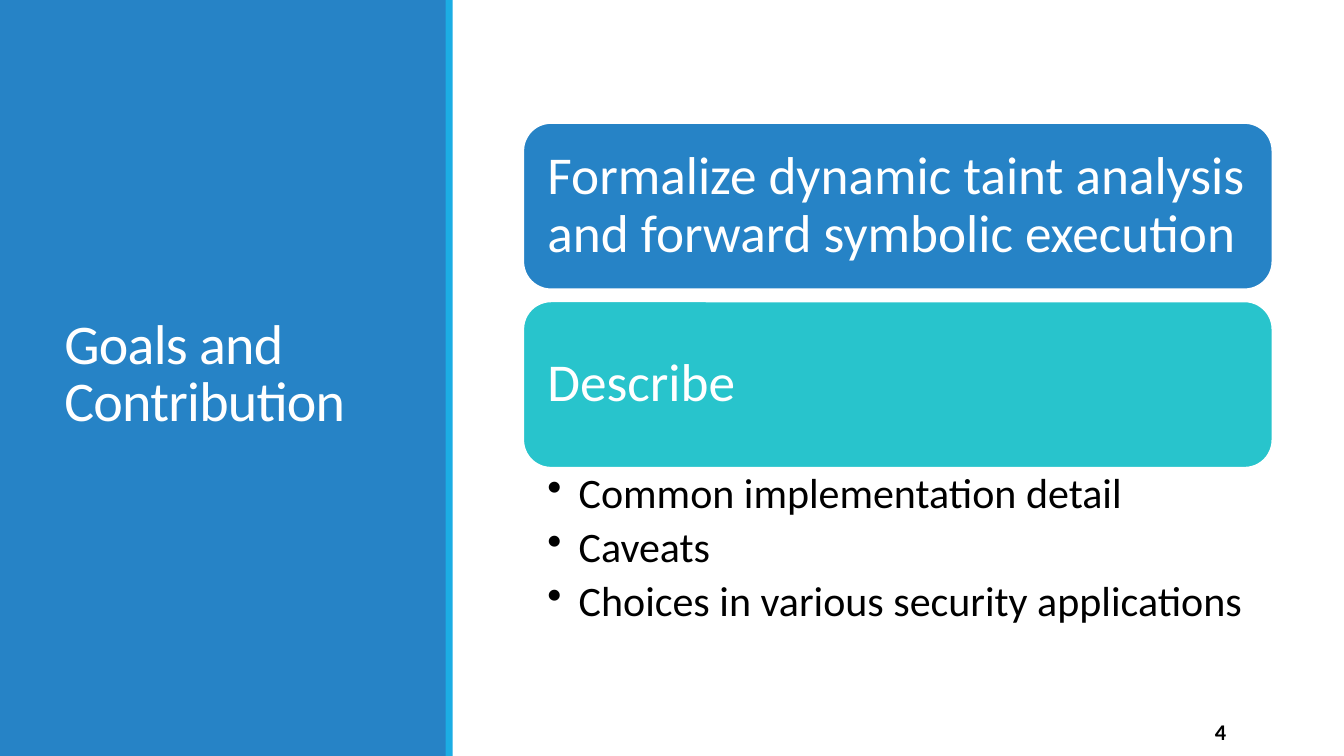
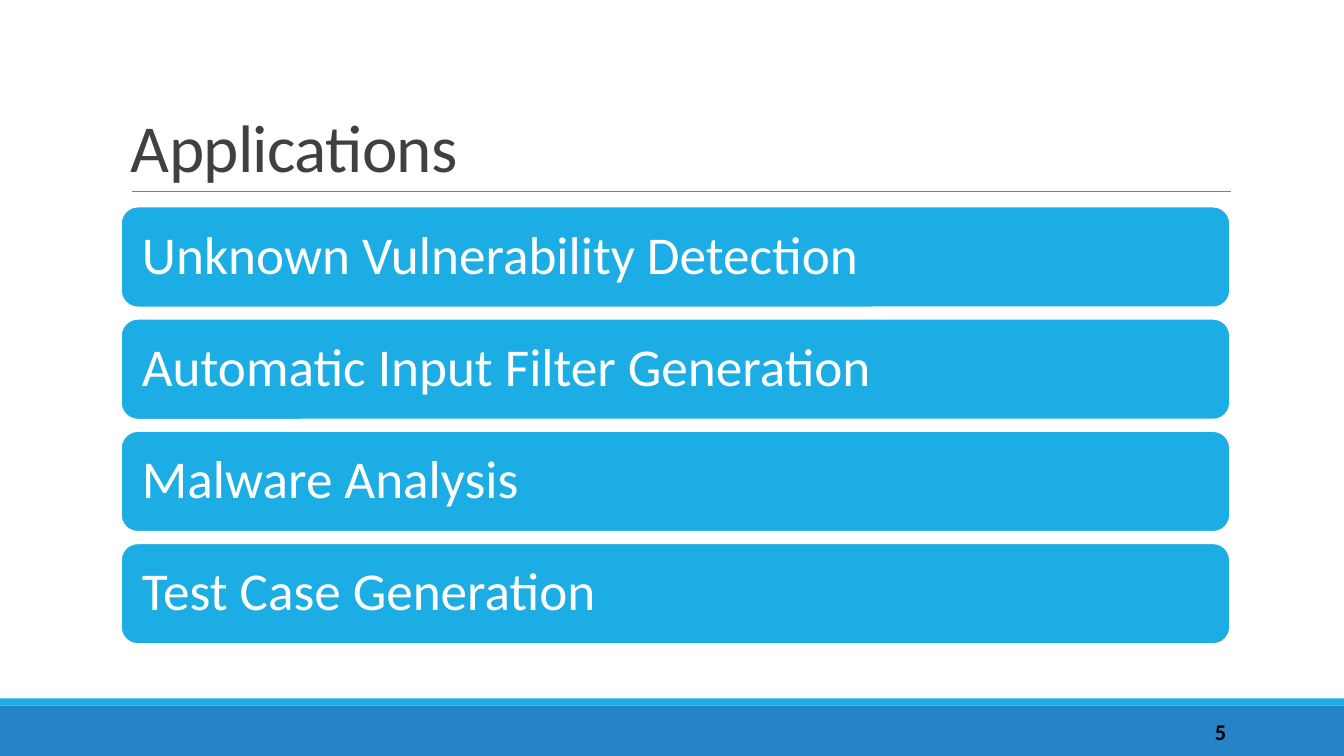
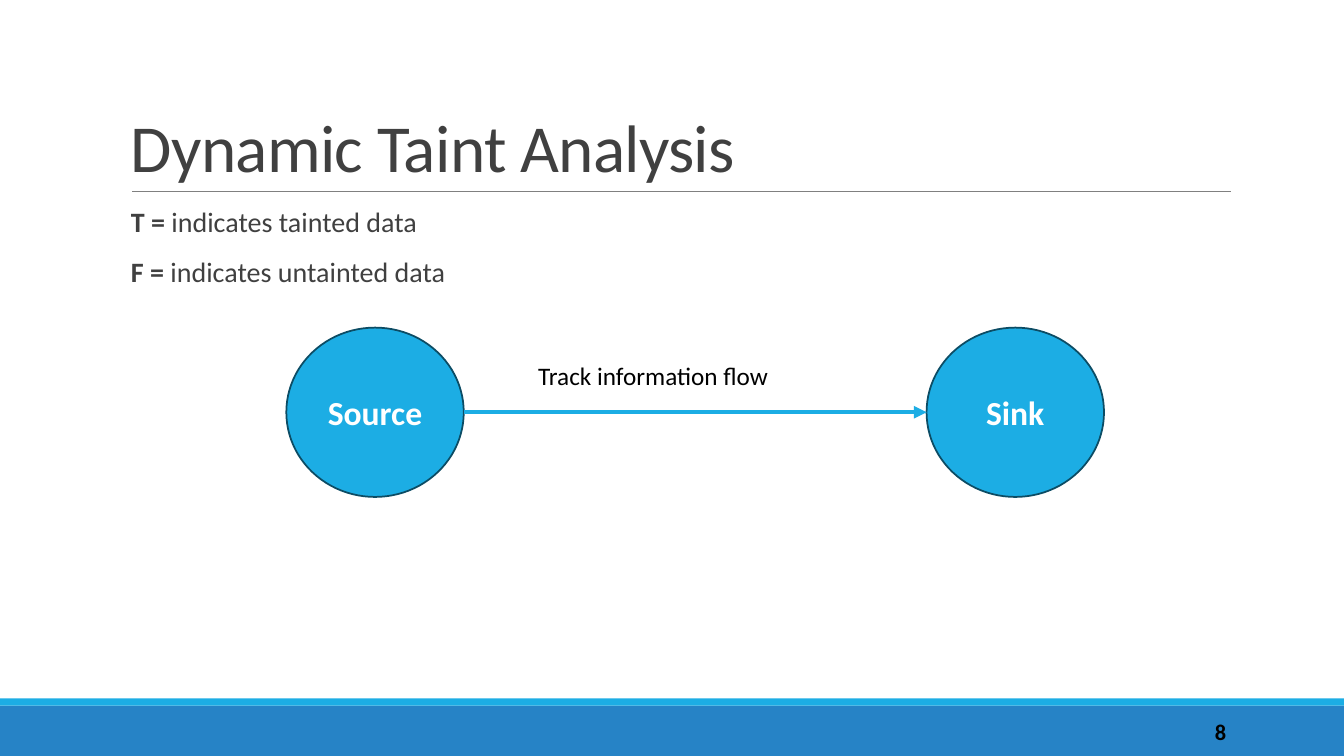
from lxml.etree import SubElement
from pptx import Presentation
from pptx.dml.color import RGBColor
from pptx.enum.shapes import MSO_CONNECTOR, MSO_SHAPE
from pptx.enum.text import MSO_ANCHOR, PP_ALIGN
from pptx.oxml.ns import qn
from pptx.util import Inches, Pt

COLORS = {
    "blue": "2683C6",
    "sky": "1CADE4",
    "teal": "28C4CC",
    "navy": "0C4C64",
    "white": "FFFFFF",
    "black": "000000",
    "dark": "404040",
    "gray": "808080",
}
FONT = "Calibri"
WIDTH, HEIGHT = 13.33, 7.5
INSETS = (0.1, 0.05, 0.1, 0.05)
CARD_INSETS = (0.16, 0.16, 0.1, 0.16)


def color(name):
    return RGBColor.from_string(COLORS[name])


# Text
def set_frame(shape, anchor=MSO_ANCHOR.TOP, insets=INSETS):
    frame = shape.text_frame
    frame.word_wrap = True
    frame.vertical_anchor = anchor
    left, top, right, bottom = (Inches(inset) for inset in insets)
    frame.margin_left, frame.margin_top = left, top
    frame.margin_right, frame.margin_bottom = right, bottom
    return frame


def add_span(para, text, size, ink, bold=False, tracking=None):
    span = para.add_run()
    span.text = text
    span.font.name = FONT
    span.font.size = Pt(size)
    span.font.bold = bold
    span.font.color.rgb = color(ink)
    if tracking is not None:
        span.font._element.set("spc", str(int(tracking * 100)))


def add_paras(frame, count, spacing=1.0, before=0, after=0):
    paras = [frame.paragraphs[0]]
    paras += [frame.add_paragraph() for _ in range(count - 1)]
    for para in paras:
        para.alignment = PP_ALIGN.LEFT
        para.line_spacing = spacing
        para.space_before, para.space_after = Pt(before), Pt(after)
    return paras


def add_box(page, area, anchor=MSO_ANCHOR.TOP, insets=INSETS):
    box = page.shapes.add_textbox(*map(Inches, area))
    return set_frame(box, anchor, insets)


def add_title(page, text, area, size, ink, anchor):
    para, = add_paras(add_box(page, area, anchor), 1, 0.85)
    add_span(para, text, size, ink, tracking=-0.5)


def add_page_number(page, number):
    frame = add_box(page, (10.83, 7.06, 1.43, 0.4), MSO_ANCHOR.MIDDLE)
    para, = add_paras(frame, 1)
    para.alignment = PP_ALIGN.RIGHT
    add_span(para, str(number), 16, "black", bold=True)


def add_bullets(page, items, area):
    frame = add_box(page, area, insets=(0.24, 0.05, 0.1, 0.05))
    for para, item in zip(add_paras(frame, len(items), 0.9, after=6), items):
        add_span(para, item, 30, "black")
        props = para._p.get_or_add_pPr()
        props.set("marL", str(Inches(0.31)))
        props.set("indent", str(-Inches(0.31)))
        SubElement(props, qn("a:buChar")).set("char", "\u2022")


# Shapes and lines
def add_figure(page, kind, area, fill, line=None):
    shape = page.shapes.add_shape(kind, *map(Inches, area))
    shape.shadow.inherit = False
    shape.fill.solid()
    shape.fill.fore_color.rgb = color(fill)
    if line:
        shape.line.color.rgb = color(line)
        shape.line.width = Pt(1.25)
    else:
        shape.line.fill.background()
    return shape


def add_card(page, text, area, fill):
    card = add_figure(page, MSO_SHAPE.ROUNDED_RECTANGLE, area, fill, "white")
    frame = set_frame(card, MSO_ANCHOR.MIDDLE, CARD_INSETS)
    para, = add_paras(frame, 1, 0.9)
    add_span(para, text, 38, "white")


def add_node(page, text, area):
    node = add_figure(page, MSO_SHAPE.OVAL, area, "sky", "navy")
    para, = add_paras(set_frame(node, MSO_ANCHOR.MIDDLE), 1)
    para.alignment = PP_ALIGN.CENTER
    add_span(para, text, 24, "white", bold=True)


def add_line(page, start, end, ink, width, arrow=False):
    points = map(Inches, (*start, *end))
    line = page.shapes.add_connector(MSO_CONNECTOR.STRAIGHT, *points)
    line.line.color.rgb = color(ink)
    line.line.width = Pt(width)
    if arrow:
        outline = line.line._get_or_add_ln()
        SubElement(outline, qn("a:tailEnd")).set("type", "triangle")
    SubElement(line._element.spPr, qn("a:effectLst"))


# Pages
def add_page(deck):
    return deck.slides.add_slide(deck.slide_layouts[6])


def add_content_page(deck, title, number):
    page = add_page(deck)
    add_figure(page, MSO_SHAPE.RECTANGLE, (0, 7, WIDTH, 0.5), "blue")
    add_figure(page, MSO_SHAPE.RECTANGLE, (0, 6.93, WIDTH, 0.07), "sky")
    add_line(page, (1.31, 1.9), (12.21, 1.9), "gray", 0.5)
    add_title(page, title, (1.2, 0.31, 11, 1.59), 48, "dark", MSO_ANCHOR.BOTTOM)
    add_page_number(page, number)
    return page


def build_goals(deck):
    page = add_page(deck)
    add_figure(page, MSO_SHAPE.RECTANGLE, (0, 0, 4.43, HEIGHT), "blue")
    add_figure(page, MSO_SHAPE.RECTANGLE, (4.42, 0, 0.07, HEIGHT), "sky")
    add_title(page, "Goals and Contribution", (0.54, 0.57, 3.37, 6.31),
              40, "white", MSO_ANCHOR.MIDDLE)
    goals = [
        ("Formalize dynamic taint analysis and forward symbolic execution", "blue"),
        ("Describe", "teal"),
    ]
    for row, (goal, fill) in enumerate(goals):
        add_card(page, goal, (5.19, 1.22 + row * 1.77, 7.43, 1.65), fill)
    add_bullets(page, [
        "Common implementation detail",
        "Caveats",
        "Choices in various security applications",
    ], (5.19, 4.64, 7.43, 1.72))
    add_page_number(page, 4)


def build_applications(deck):
    page = add_content_page(deck, "Applications", 5)
    applications = [
        "Unknown Vulnerability Detection",
        "Automatic Input Filter Generation",
        "Malware Analysis",
        "Test Case Generation",
    ]
    pitch = (5.39 - 2.05) / (len(applications) - 1)
    for row, application in enumerate(applications):
        add_card(page, application, (1.2, 2.05 + row * pitch, 11, 1), "sky")


def build_taint_analysis(deck):
    page = add_content_page(deck, "Dynamic Taint Analysis", 8)

    # Legend
    legend = [("T = ", "indicates tainted data"), ("F = ", "indicates untainted data")]
    frame = add_box(page, (1.2, 2.02, 11, 1.1))
    paras = add_paras(frame, len(legend), 0.9, before=12, after=2)
    for para, (mark, meaning) in zip(paras, legend):
        add_span(para, mark, 20, "dark", bold=True)
        add_span(para, meaning, 20, "dark")

    # Flow from source to sink
    source_left, sink_left, top, width, height = 2.84, 9.19, 3.25, 1.76, 1.68
    add_node(page, "Source", (source_left, top, width, height))
    add_node(page, "Sink", (sink_left, top, width, height))
    middle = top + height / 2
    add_line(page, (source_left + width, middle), (sink_left, middle),
             "sky", 3, arrow=True)
    para, = add_paras(add_box(page, (5.24, 3.53, 2.63, 0.4)), 1)
    add_span(para, "Track information flow", 18, "black")


def main():
    deck = Presentation()
    deck.slide_width, deck.slide_height = Inches(WIDTH), Inches(HEIGHT)
    build_goals(deck)
    build_applications(deck)
    build_taint_analysis(deck)
    deck.save("out.pptx")


main()
